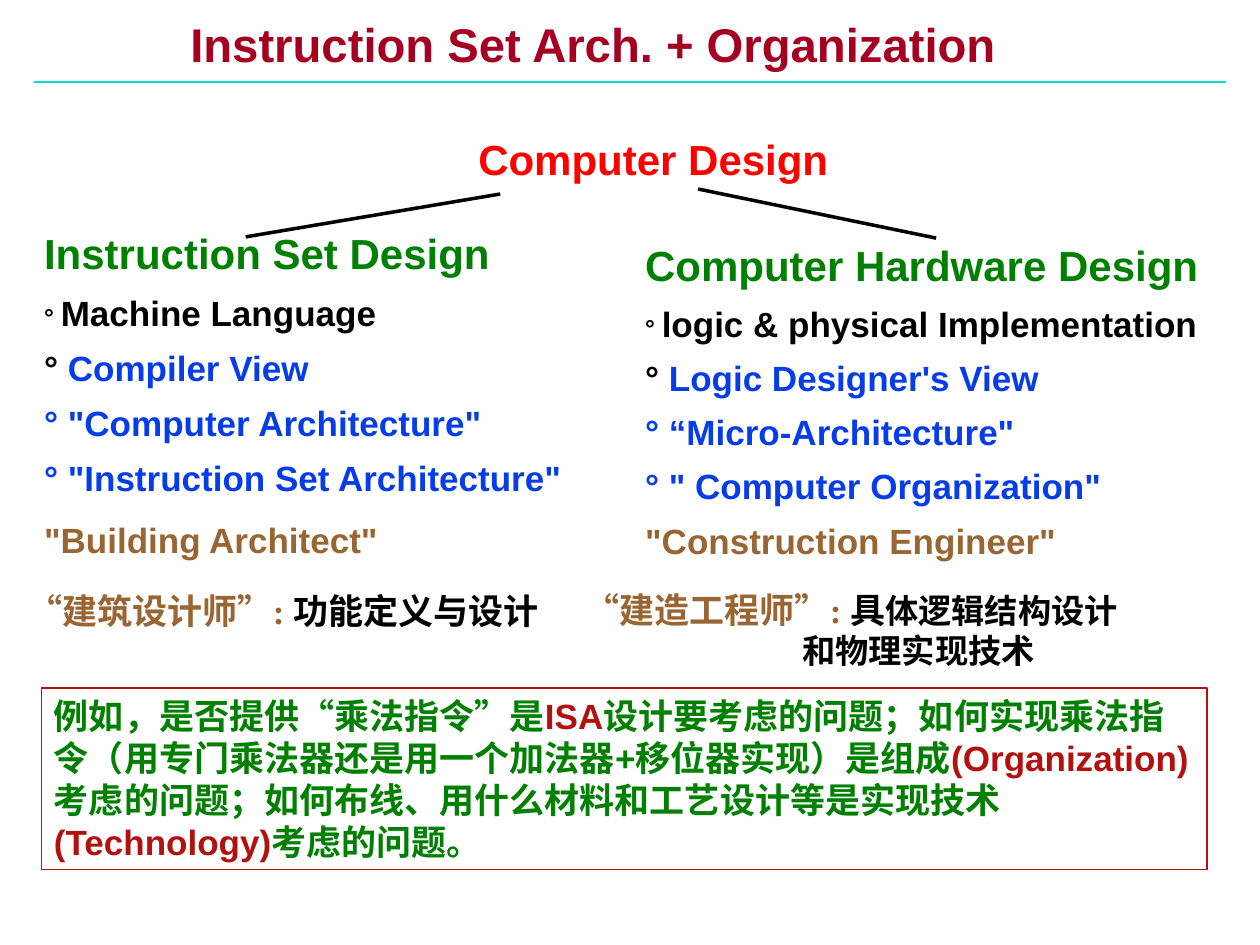
from lxml.etree import SubElement
from pptx import Presentation
from pptx.dml.color import RGBColor
from pptx.enum.shapes import MSO_CONNECTOR, MSO_SHAPE
from pptx.enum.text import MSO_ANCHOR, MSO_AUTO_SIZE, PP_ALIGN
from pptx.oxml.ns import qn
from pptx.util import Inches, Pt

COLORS = {"title": "A50021", "rule": "00DFCA", "root": "FF0000", "green": "008000",
          "black": "000000", "blue": "063DE8", "brown": "996633", "red": "B3110D"}

# Content: a paragraph is a list of (text, size, colour)
TITLE = [("Instruction Set Arch. + Organization", 27, "title")]
ROOT = [("Computer Design", 24, "root")]
BRANCHES = [
    {"at": (0.28, 1.82, 4.58, 2.71), "hang": 0.38, "leading": 0.9, "gap": 9.9,
     "last": {"line_spacing": 1.0, "before": 11.3},
     "heading": "Instruction Set Design",
     "topic": "Machine Language",
     "views": [("Compiler View", "black"), ("\"Computer Architecture\"", "blue"),
               ("\"Instruction Set Architecture\"", "blue")],
     "role": "\"Building Architect\""},
    {"at": (5.05, 1.87, 4.75, 2.62), "hang": 0.22, "leading": 1.0, "gap": 7,
     "last": {},
     "heading": "Computer Hardware Design",
     "topic": "logic & physical Implementation",
     "views": [("Logic Designer's View", "black"), ("“Micro-Architecture\"", "blue"),
               ("\" Computer Organization\"", "blue")],
     "role": "\"Construction Engineer\""},
]
BRANCH_LINES = [((3.97, 1.54), (1.95, 1.88)), ((5.54, 1.5), (7.43, 1.89))]
ARCHITECT = [("“建筑设计师”: ", 20, "brown"), ("功能定义与设计", 20, "black")]
ENGINEER = [("“建造工程师”: ", 20, "brown"), ("具", 20, "black"),
            ("体逻辑结构设计", 19, "black")]
ENGINEER_MORE = [("和物理实现技术", 19, "black")]
EXAMPLE = [
    ("例如，是否提供“乘法指令”是", 20, "green"), ("ISA", 20, "red"),
    ("设计要考虑的问题；如何实现乘法指令（用专门乘法器还是用一个加法器+移位器实现）是组成", 20, "green"),
    ("(Organization)", 20, "red"),
    ("考虑的问题；如何布线、用什么材料和工艺设计等是实现技术", 20, "green"),
    ("(Technology)", 20, "red"), ("考虑的问题。", 20, "green")]

TIGHT, ROOMY = (0.07, 0.03), (0.1, 0.05)


def color(name):
    return RGBColor.from_string(COLORS[name])


def prepare(shape, margins):
    frame = shape.text_frame
    frame.word_wrap = True
    frame.auto_size = MSO_AUTO_SIZE.NONE
    frame.vertical_anchor = MSO_ANCHOR.TOP
    frame.margin_left = frame.margin_right = Inches(margins[0])
    frame.margin_top = frame.margin_bottom = Inches(margins[1])
    return frame


def add_box(page, at, margins):
    return prepare(page.shapes.add_textbox(*map(Inches, at)), margins)


def write(para, spans, font="Arial", align=PP_ALIGN.LEFT, line_spacing=1.0,
          before=0, left=0, hang=0):
    para.alignment = align
    para.line_spacing = line_spacing
    para.space_before = Pt(before)
    properties = para._p.get_or_add_pPr()
    properties.set("marL", str(Inches(left + hang)))
    properties.set("indent", str(Inches(-hang)))
    for text, size, name in spans:
        span = para.add_run()
        span.text = text
        span.font.name = font
        span.font.size = Pt(size)
        span.font.bold = True
        span.font.color.rgb = color(name)


def add_line(page, start, end, name, width):
    line = page.shapes.add_connector(
        MSO_CONNECTOR.STRAIGHT, *map(Inches, start + end))
    line.line.color.rgb = color(name)
    line.line.width = Pt(width)
    SubElement(line._element.spPr, qn("a:effectLst"))


def add_branch(page, branch):
    paragraphs = [[(branch["heading"], 24, "green")],
                  [("° ", 14, "black"), (branch["topic"], 20, "black")]]
    paragraphs += [[("° ", 20, mark), (text, 20, "blue")]
                   for text, mark in branch["views"]]
    paragraphs.append([(branch["role"], 20, "brown")])
    frame = add_box(page, branch["at"], TIGHT)
    for index, spans in enumerate(paragraphs):
        para = frame.add_paragraph() if index else frame.paragraphs[0]
        layout = {"line_spacing": branch["leading"], "hang": branch["hang"],
                  "before": branch["gap"] if index else 0}
        if index == len(paragraphs) - 1:
            layout.update(branch["last"])
        write(para, spans, **layout)


def main():
    deck = Presentation()
    deck.slide_width, deck.slide_height = Inches(10), Inches(7.5)
    page = deck.slides.add_slide(deck.slide_layouts[5])

    # Title and rule
    title = page.shapes.title
    title.left, title.top, title.width, title.height = map(
        Inches, (1.44, 0.15, 7.53, 0.45))
    write(prepare(title, TIGHT).paragraphs[0], TITLE, line_spacing=0.87)
    add_line(page, (0.27, 0.65), (9.73, 0.65), "rule", 1.5)

    # Design tree
    root = add_box(page, (3.17, 1.02, 4.03, 0.46), TIGHT)
    write(root.paragraphs[0], ROOT, align=PP_ALIGN.CENTER, line_spacing=1.02)
    for branch in BRANCHES:
        add_branch(page, branch)
    for start, end in BRANCH_LINES:
        add_line(page, start, end, "black", 2)

    # Roles in Chinese
    architect = add_box(page, (0.12, 4.63, 4.47, 0.43), ROOMY)
    write(architect.paragraphs[0], ARCHITECT, font="Times New Roman")
    engineer = add_box(page, (4.54, 4.62, 5.46, 0.75), ROOMY)
    write(engineer.paragraphs[0], ENGINEER, font="Times New Roman")
    write(engineer.add_paragraph(), ENGINEER_MORE, font="Times New Roman", left=1.73)

    # Framed example
    example = page.shapes.add_shape(
        MSO_SHAPE.RECTANGLE, *map(Inches, (0.33, 5.46, 9.25, 1.44)))
    example.shadow.inherit = False
    example.fill.background()
    example.line.color.rgb = color("red")
    example.line.width = Pt(0.75)
    write(prepare(example, ROOMY).paragraphs[0], EXAMPLE)

    deck.save("out.pptx")


if __name__ == "__main__":
    main()
